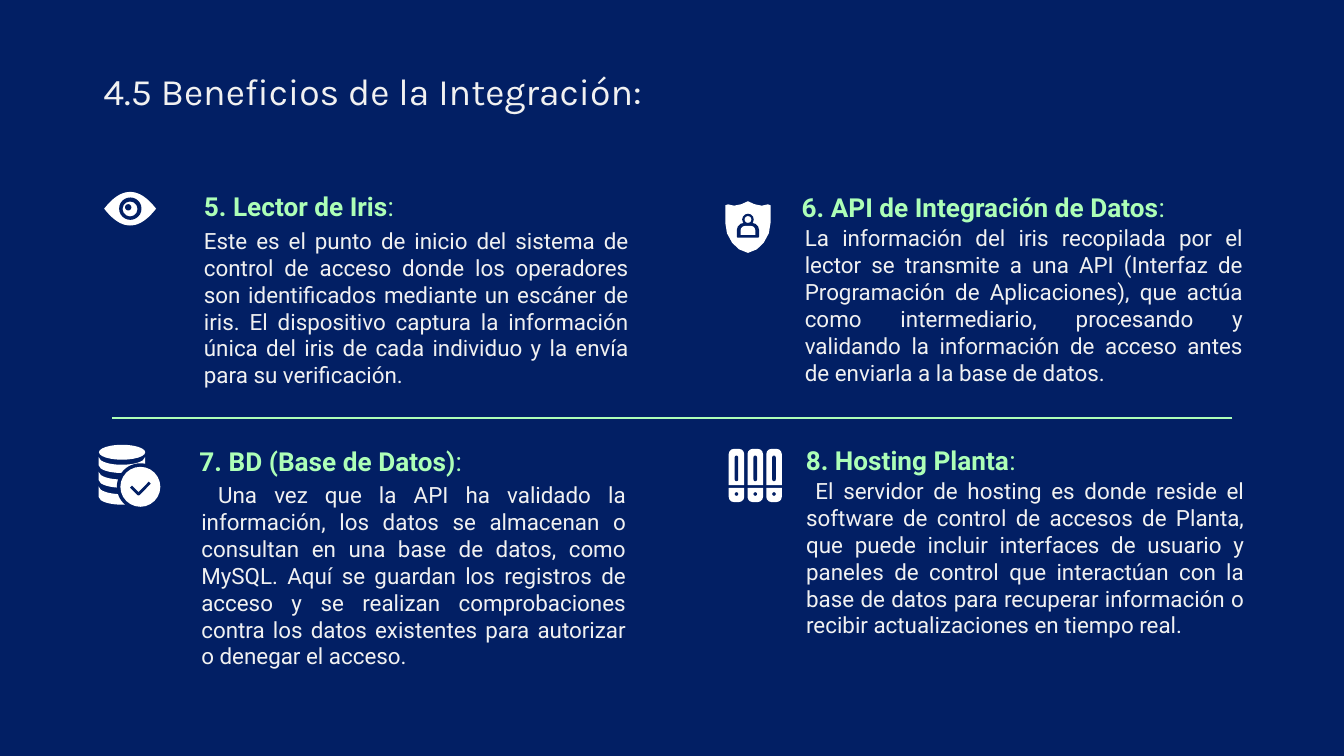
from math import sqrt
from lxml.etree import SubElement
from pptx import Presentation
from pptx.dml.color import RGBColor
from pptx.enum.shapes import MSO_CONNECTOR, MSO_SHAPE
from pptx.enum.text import MSO_ANCHOR, PP_ALIGN
from pptx.oxml.ns import qn
from pptx.util import Pt

COLORS = {k: RGBColor.from_string(v) for k, v in {
    "navy": "021F64", "green": "ADFFB7", "text": "F1F1F1", "white": "FFFFFF"}.items()}
OVAL, TAB = MSO_SHAPE.OVAL, MSO_SHAPE.ROUND_2_SAME_RECTANGLE

prs = Presentation()
prs.slide_width, prs.slide_height = Pt(720), Pt(405)
s = prs.slides.add_slide(prs.slide_layouts[5])
s.background.fill.solid()
s.background.fill.fore_color.rgb = COLORS["navy"]


def add_part(kind, x, y, w, h, color="white", adjust=()):
    sp = s.shapes.add_shape(kind, Pt(x), Pt(y), Pt(w), Pt(h))
    sp.shadow.inherit = False
    sp.fill.solid()
    sp.fill.fore_color.rgb = COLORS[color]
    sp.line.fill.background()
    for i, value in enumerate(adjust):
        sp.adjustments[i] = value


def add_outline(points, close=True):
    pts = [(Pt(x), Pt(y)) for x, y in points]
    builder = s.shapes.build_freeform(*pts[0], scale=1)
    builder.add_line_segments(pts[1:], close=close)
    sp = builder.convert_to_shape()
    sp.shadow.inherit = False
    if close:
        sp.fill.solid()
        sp.fill.fore_color.rgb = COLORS["white"]
        sp.line.fill.background()
    else:
        sp.fill.background()
        sp.line.color.rgb = COLORS["navy"]
        sp.line.width = Pt(1.5)


title = s.shapes.title
title.left, title.top, title.width, title.height = Pt(48.2), Pt(29.5), Pt(671.8), Pt(45.4)
tf = title.text_frame
tf.margin_left = tf.margin_right = tf.margin_top = tf.margin_bottom = Pt(7.2)
tf.vertical_anchor = MSO_ANCHOR.TOP
p = tf.paragraphs[0]
p.text = "4.5 Beneficios de la Integración:"
p.alignment = PP_ALIGN.LEFT
p.font.name, p.font.size = "Karla", Pt(20)
p.font.color.rgb = COLORS["text"]

headings = [
    ("5. Lector de Iris", 66.2, 94.3, 321.8, 31.6, 0),
    ("6. API de Integración de Datos", 410.4, 91.4, 257, 35.3, -24),
    ("7. BD (Base de Datos)", 87.8, 227.5, 272.2, 35.3, -24),
    ("8. Hosting Planta", 412.6, 226.8, 239.8, 35.3, -24),
]
bodies = [
    ("Este es el punto de inicio del sistema de control de acceso donde los operadores "
     "son identificados mediante un escáner de iris. El dispositivo captura la información "
     "única del iris de cada individuo y la envía para su verificación.",
     66.2, 114.5, 277.9, 112.3, 0),
    ("La información del iris recopilada por el lector se transmite a una API (Interfaz de "
     "Programación de Aplicaciones), que actúa como intermediario, procesando y validando "
     "la información de acceso antes de enviarla a la base de datos.",
     388.1, 113, 285.1, 124.6, 0),
    ("Una vez que la API ha validado la información, los datos se almacenan o consultan en "
     "una base de datos, como MySQL. Aquí se guardan los registros de acceso y se realizan "
     "comprobaciones contra los datos existentes para autorizar o denegar el acceso.",
     64.8, 250.6, 277.9, 154, 9),
    ("El servidor de hosting es donde reside el software de control de accesos de Planta, "
     "que puede incluir interfaces de usuario y paneles de control que interactúan con la "
     "base de datos para recuperar información o recibir actualizaciones en tiempo real.",
     388.8, 248.4, 285.1, 85, 5),
]
for text, x, y, w, h, indent in headings + bodies:
    is_heading = len(text) < 40
    tf = s.shapes.add_textbox(Pt(x), Pt(y), Pt(w), Pt(h)).text_frame
    tf.word_wrap = True
    tf.margin_left = tf.margin_right = tf.margin_top = tf.margin_bottom = Pt(7.2)
    tf.vertical_anchor = MSO_ANCHOR.BOTTOM if is_heading else MSO_ANCHOR.TOP
    p = tf.paragraphs[0]
    p.alignment = PP_ALIGN.JUSTIFY
    pPr = p._p.get_or_add_pPr()
    pPr.set("marL", str(Pt(36)))
    pPr.set("indent", str(Pt(indent)))
    p.font.name = "Roboto"
    p.font.size = Pt(14 if is_heading else 12)
    p.font.color.rgb = COLORS["green" if is_heading else "text"]
    r = p.add_run()
    r.text = text
    if is_heading:
        r.font.bold = True
        p.add_run().text = ":"

divider = s.shapes.add_connector(MSO_CONNECTOR.STRAIGHT, Pt(660.2), Pt(224), Pt(59.8), Pt(224))
divider.line.color.rgb = COLORS["green"]
divider.line.width = Pt(0.75)
SubElement(divider._element.spPr, qn("a:effectLst"))

steps = [i / 10 for i in range(-10, 11)]
lid = [(69.7 + 13.9 * u, 9 * (1 - u * u)) for u in steps]
add_outline([(x, 111.8 - d) for x, d in lid] + [(x, 111.8 + d) for x, d in lid[-2:0:-1]])
for x, y, d, color in [(63.8, 105.8, 12, "navy"), (65.7, 108, 7.9, "white"), (67, 109.4, 3.4, "navy")]:
    add_part(OVAL, x, y, d, d, color)

half = [(0, 107.8), (3.5, 109.4), (7.4, 110.2), (10.7, 109.5), (12.1, 110), (12.1, 119.5),
        (11.2, 125), (8.5, 130), (4.8, 133.6), (0, 135.5)]
add_outline([(400.7 + d, y) for d, y in half] + [(400.7 - d, y) for d, y in half[-2:0:-1]])
add_part(TAB, 394.7, 119.4, 12, 8, "navy", (0.5, 0.1))
add_part(OVAL, 397.6, 114.5, 6.2, 6.2, "navy")
add_part(TAB, 396.75, 121, 7.9, 4.8, "white", (0.5, 0))
add_part(OVAL, 398.9, 115.8, 3.6, 3.6)

add_part(OVAL, 53, 238.3, 24.8, 8)
for top, height in [(244.8, 4.4), (252.7, 4.4), (260.6, 5.6)]:
    rim = [(65.3 + 12.5 * u, top + 4.2 * sqrt(1 - u * u)) for u in steps]
    add_outline(rim + [(x, y + height) for x, y in reversed(rim)])
for radius, color in [(12.6, "navy"), (10.7, "white")]:
    add_part(OVAL, 75.2 - radius, 260.8 - radius, 2 * radius, 2 * radius, color)
add_outline([(70.2, 260.7), (74.2, 264.7), (80.2, 258.6)], close=False)

for i in range(3):
    x = 390.4 + 10.05 * i
    add_part(TAB, x, 240.5, 8.3, 19.4, "white", (0.34, 0))
    add_part(TAB, x, 261.4, 8.3, 7.6, "white", (0, 0.37))
    add_part(MSO_SHAPE.ROUNDED_RECTANGLE, x + 3.2, 244.1, 1.9, 13.7, "navy", (0.5,))
    add_part(OVAL, x + 3.2, 263.7, 1.9, 1.9, "navy")

prs.save("out.pptx")
